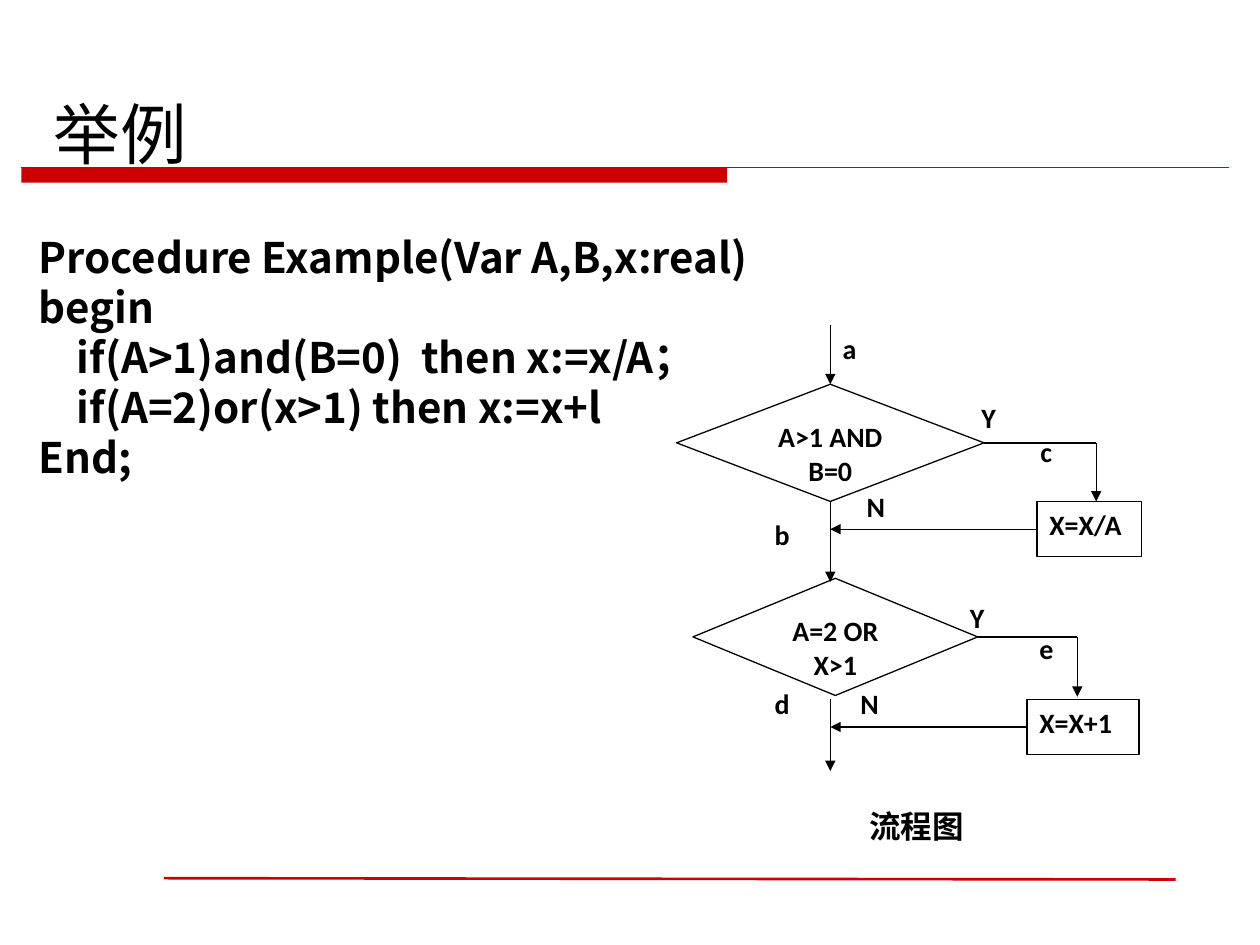
from lxml import etree
from pptx import Presentation
from pptx.dml.color import RGBColor
from pptx.enum.shapes import MSO_CONNECTOR, MSO_SHAPE
from pptx.enum.text import MSO_ANCHOR, PP_ALIGN
from pptx.oxml.ns import qn
from pptx.util import Inches, Pt

RED = RGBColor(0xCC, 0x00, 0x00)
BLACK = RGBColor(0x00, 0x00, 0x00)
WHITE = RGBColor(0xFF, 0xFF, 0xFF)

STRAIGHT = MSO_CONNECTOR.STRAIGHT
RECTANGLE = MSO_SHAPE.RECTANGLE
DECISION = MSO_SHAPE.FLOWCHART_DECISION
TOP, BOTTOM = MSO_ANCHOR.TOP, MSO_ANCHOR.BOTTOM
LEFT, CENTER, JUSTIFY = PP_ALIGN.LEFT, PP_ALIGN.CENTER, PP_ALIGN.JUSTIFY

# Connection sites of a shape
SITE_TOP, SITE_LEFT, SITE_BOTTOM, SITE_RIGHT = range(4)

TRUNK_X = 6.59

CODE_LINES = [
    "Procedure Example(Var A,B,x:real)",
    "begin",
    "    if(A>1)and(B=0)  then x:=x/A；",
    "    if(A=2)or(x>1) then x:=x+l",
    "End;",
]

# Text, left, top
LABELS = [
    ("Y", 7.69, 3.13), ("Y", 7.6, 4.72),
    ("N", 6.78, 3.84), ("N", 6.73, 5.4),
    ("a", 6.59, 2.58), ("b", 6.05, 4.06), ("d", 6.05, 5.4),
    ("c", 8.16, 3.4), ("e", 8.15, 4.96),
]


def write_text(shape, lines, size, font="Calibri", bold=True, align=JUSTIFY,
               anchor=TOP, line_height=None):
    frame = shape.text_frame
    frame.word_wrap = True
    frame.vertical_anchor = anchor
    for index, line in enumerate(lines):
        para = frame.paragraphs[0] if index == 0 else frame.add_paragraph()
        para.alignment = align
        if line_height:
            para.line_spacing = Pt(line_height)
        span = para.add_run()
        span.text = line
        span.font.size = Pt(size)
        span.font.bold = bold
        span.font.name = font
        span.font.color.rgb = BLACK
        east_asian = etree.SubElement(span.font._element, qn("a:ea"))
        east_asian.set("typeface", font)


def add_text(page, lines, left, top, width, height, size, **style):
    box = page.shapes.add_textbox(
        Inches(left), Inches(top), Inches(width), Inches(height))
    write_text(box, lines, size, **style)
    return box


def add_node(page, kind, text, left, top, width, height, align=JUSTIFY):
    node = page.shapes.add_shape(
        kind, Inches(left), Inches(top), Inches(width), Inches(height))
    node.shadow.inherit = False
    node.fill.solid()
    node.fill.fore_color.rgb = WHITE
    node.line.color.rgb = BLACK
    node.line.width = Pt(0.75)
    write_text(node, [text], 16, align=align)
    return node


def add_line(page, start, end, color=BLACK, width=0.75, arrow=False):
    line = page.shapes.add_connector(
        STRAIGHT, *[Inches(value) for value in (*start, *end)])
    line.line.color.rgb = color
    line.line.width = Pt(width)
    if arrow:
        tail = etree.SubElement(line.line._get_or_add_ln(), qn("a:tailEnd"))
        tail.set("type", "triangle")
    etree.SubElement(line._element.spPr, qn("a:effectLst"))
    return line


def add_branch(page, decision, action, turn_x, action_top):
    """Yes path: out of the decision, down to the action, back to the trunk."""
    exit_x = (decision.left + decision.width) / Inches(1)
    exit_y = (decision.top + decision.height // 2) / Inches(1)
    action_left = action.left / Inches(1)
    action_y = (action.top + action.height // 2) / Inches(1)

    leave = add_line(page, (exit_x, exit_y), (turn_x, exit_y))
    leave.begin_connect(decision, SITE_RIGHT)
    add_line(page, (turn_x, exit_y), (turn_x, action_top), arrow=True)
    back = add_line(page, (action_left, action_y), (TRUNK_X, action_y), arrow=True)
    back.begin_connect(action, SITE_LEFT)


def add_frame(page):
    # Thick and thin rule under the title
    bar = page.shapes.add_shape(
        RECTANGLE, Inches(0.17), Inches(1.33), Inches(5.6), Inches(0.12))
    bar.shadow.inherit = False
    bar.fill.solid()
    bar.fill.fore_color.rgb = RED
    bar.line.fill.background()
    add_line(page, (0.17, 1.33), (9.75, 1.33), RED)
    # Footer rule
    add_line(page, (1.3, 6.97), (9.33, 6.98), RED, 1.5)


def add_flowchart(page):
    # Decisions and actions
    first_test = add_node(page, DECISION, "A>1 AND B=0", 5.37, 3.05, 2.44, 0.93, CENTER)
    second_test = add_node(page, DECISION, "A=2 OR X>1", 5.5, 4.59, 2.26, 0.93, CENTER)
    divide = add_node(page, RECTANGLE, "X=X/A", 8.23, 3.98, 0.83, 0.44)
    increment = add_node(page, RECTANGLE, "X=X+1", 8.15, 5.55, 0.89, 0.44)

    # Trunk from top to bottom
    entry, middle, _ = [
        add_line(page, (TRUNK_X, start), (TRUNK_X, end), arrow=True)
        for start, end in [(2.58, 3.05), (3.98, 4.62), (5.55, 6.12)]
    ]
    entry.end_connect(first_test, SITE_TOP)
    middle.begin_connect(first_test, SITE_BOTTOM)

    # Yes branches
    add_branch(page, first_test, divide, 8.7, 3.98)
    add_branch(page, second_test, increment, 8.55, 5.53)

    # Path labels and caption
    for text, left, top in LABELS:
        add_text(page, [text], left, top, 0.54, 0.44, 16)
    add_text(page, ["流程图"], 6.8, 6.36, 2.05, 0.44, 18)


def main():
    deck = Presentation()
    deck.slide_width, deck.slide_height = Inches(10), Inches(7.5)
    page = deck.slides.add_slide(deck.slide_layouts[6])

    add_frame(page)
    add_text(page, ["举例"], 0.33, 0.5, 9.5, 0.92, 38, font="DejaVu Sans",
             bold=False, align=LEFT, anchor=BOTTOM)
    code = add_text(page, CODE_LINES, 0.21, 1.75, 6.64, 2.1, 24,
                    font="Noto Sans CJK SC", align=LEFT, line_height=28.6)
    code.text_frame.margin_top = Inches(0.09)
    add_flowchart(page)

    deck.save("out.pptx")


if __name__ == "__main__":
    main()
